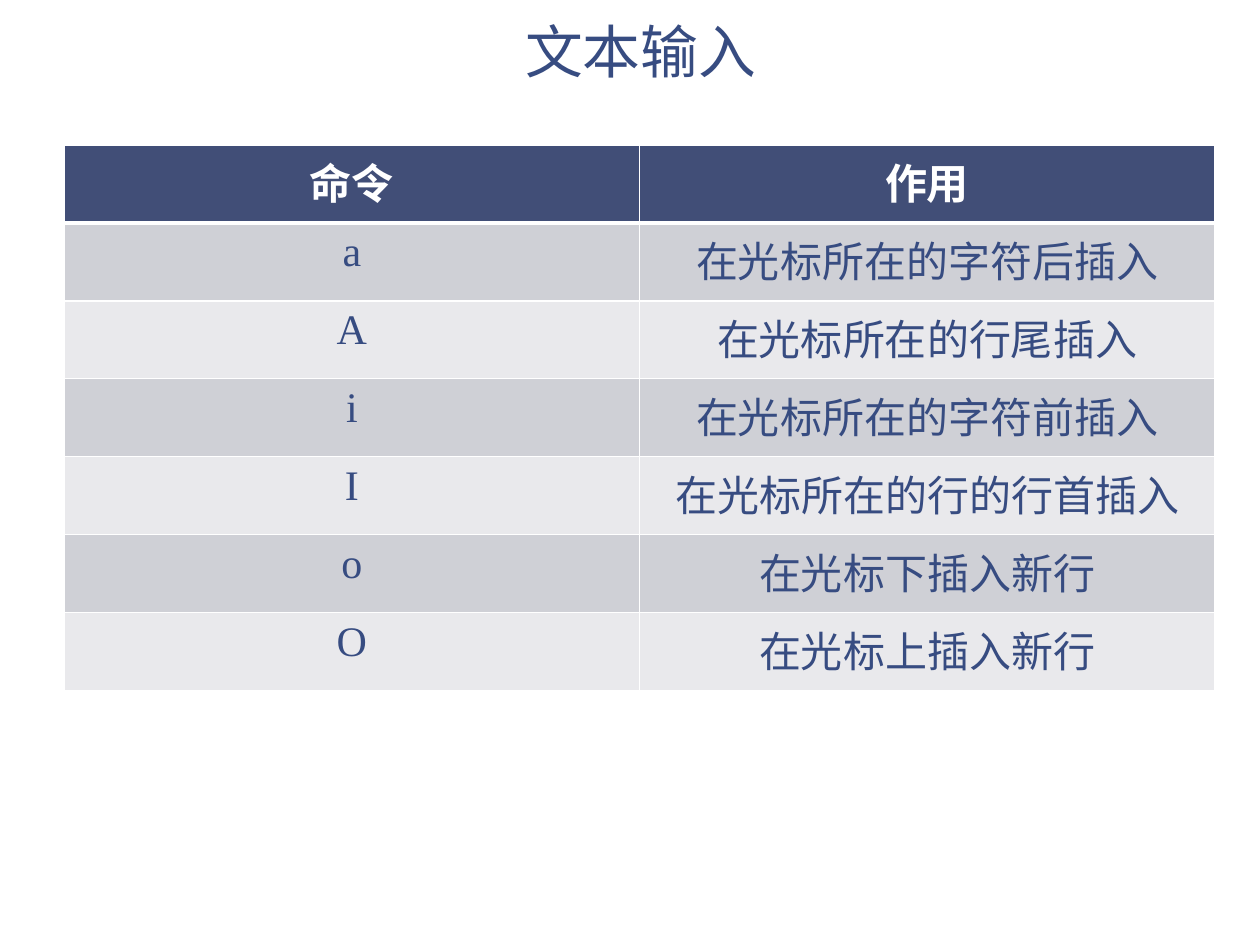
from lxml import etree
from pptx import Presentation
from pptx.dml.color import RGBColor
from pptx.enum.text import MSO_ANCHOR, PP_ALIGN
from pptx.oxml.ns import qn
from pptx.util import Inches, Pt

CENTER = PP_ALIGN.CENTER
BOTTOM = MSO_ANCHOR.BOTTOM
COLORS = {"ink": "374C81", "header": "414E77", "white": "FFFFFF",
          "odd": "CFD0D6", "even": "E9E9EC"}
CJK_FONT = "Noto Sans CJK SC"
LATIN_FONT = "Times New Roman"

COMMANDS = [
    ("命令", "作用"),
    ("a", "在光标所在的字符后插入"),
    ("A", "在光标所在的行尾插入"),
    ("i", "在光标所在的字符前插入"),
    ("I", "在光标所在的行的行首插入"),
    ("o", "在光标下插入新行"),
    ("O", "在光标上插入新行"),
]


def add_text(paragraph, text, size, latin, color, bold=False):
    paragraph.alignment = CENTER
    run = paragraph.add_run()
    run.text = text
    run.font.size = Pt(size)
    run.font.bold = bold
    run.font.color.rgb = RGBColor.from_string(COLORS[color])
    run.font.name = latin
    etree.SubElement(run.font._element, qn("a:ea"), typeface=CJK_FONT)


def add_borders(cell, widths):
    properties = cell._tc.get_or_add_tcPr()
    for position, (side, width) in enumerate(widths.items()):
        line = etree.Element(qn(f"a:ln{side}"), w=str(Pt(width)))
        fill = etree.SubElement(line, qn("a:solidFill"))
        etree.SubElement(fill, qn("a:srgbClr"), val=COLORS["white"])
        properties.insert(position, line)


prs = Presentation()
prs.slide_width = Inches(10)
prs.slide_height = Inches(7.5)
slide = prs.slides.add_slide(prs.slide_layouts[5])
slide.background.fill.solid()
slide.background.fill.fore_color.rgb = RGBColor.from_string(COLORS["white"])

title = slide.shapes.title
title.left, title.top = Inches(0.92), Inches(0.08)
title.width, title.height = Inches(8.33), Inches(0.67)
title_frame = title.text_frame
title_frame.vertical_anchor = BOTTOM
title_frame.margin_left = title_frame.margin_right = Inches(0.13)
title_frame.margin_top = title_frame.margin_bottom = Inches(0.07)
title_frame.paragraphs[0].line_spacing = 0.85
add_text(title_frame.paragraphs[0], "文本输入", 33, CJK_FONT, "ink")

commands_table = slide.shapes.add_table(
    len(COMMANDS), 2, Inches(0.51), Inches(1.15), Inches(9.13), Inches(4.33)).table

for row, texts in enumerate(COMMANDS):
    is_header = row == 0
    band = "header" if is_header else "odd" if row % 2 else "even"
    widths = {"L": 1, "R": 1, "T": 3 if row == 1 else 1, "B": 3 if is_header else 1}
    for column, text in enumerate(texts):
        cell = commands_table.cell(row, column)
        cell.fill.solid()
        cell.fill.fore_color.rgb = RGBColor.from_string(COLORS[band])
        add_borders(cell, widths)
        add_text(cell.text_frame.paragraphs[0], text, 24, LATIN_FONT,
                 "white" if is_header else "ink", is_header)

prs.save("out.pptx")
